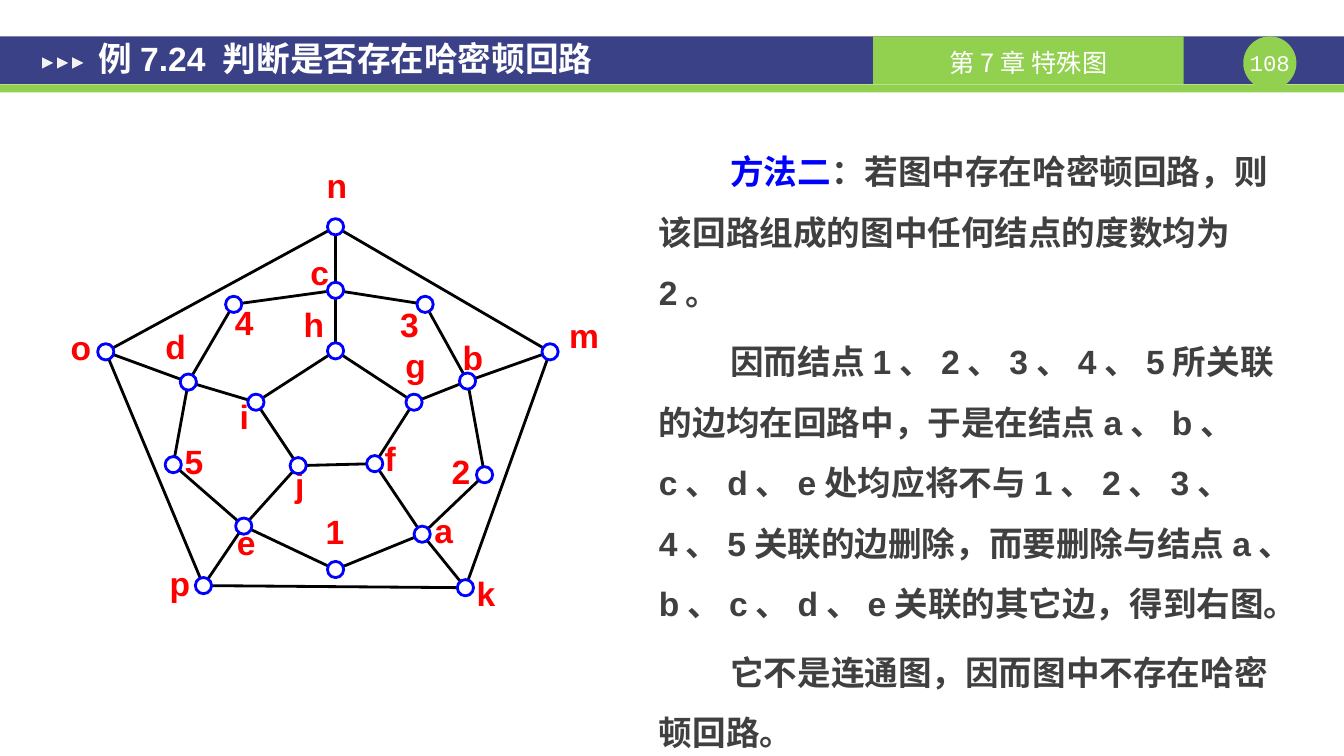
import pptx
import pptx.dml.color
import pptx.enum.shapes
import pptx.enum.text
import pptx.oxml.ns
import pptx.util
from lxml import etree

Pt = pptx.util.Pt
Kind = pptx.enum.shapes.MSO_SHAPE
Align = pptx.enum.text.PP_ALIGN
Anchor = pptx.enum.text.MSO_ANCHOR
qn = pptx.oxml.ns.qn


class Theme:
    navy, green, pale = "3A4187", "92D050", "F2F2F2"
    white, black, dark = "FFFFFF", "000000", "404040"
    red, blue = "FF0000", "0000FF"
    main, small, page = 24, 18, 16
    latin, han, mono = "Arial", "Noto Sans CJK SC", "Courier New"


def write(para, text, size=Theme.main, color=Theme.dark, font=Theme.latin,
          bold=True, align=None):
    """Add one formatted run, with a Chinese font for the Han letters."""
    run = para.add_run()
    run.text = text
    run.font.size, run.font.bold, run.font.name = Pt(size), bold, font
    run.font.color.rgb = pptx.dml.color.RGBColor.from_string(color)
    latin = run._r.rPr.find(qn("a:latin"))
    east = etree.Element(qn("a:ea"), typeface=Theme.han)
    latin.addnext(east)
    if align is not None:
        para.alignment = align


def draw(kind, box, fill, line=None):
    shape = slide.shapes.add_shape(kind, *map(Pt, box))
    shape.shadow.inherit = False
    shape.fill.solid()
    shape.fill.fore_color.rgb = pptx.dml.color.RGBColor.from_string(fill)
    if line:
        shape.line.color.rgb = pptx.dml.color.RGBColor.from_string(line)
        shape.line.width = Pt(2)
    else:
        shape.line.fill.background()
    return shape


deck = pptx.Presentation()
deck.slide_width, deck.slide_height = Pt(960.5), Pt(540)
slide = deck.slides.add_slide(deck.slide_layouts[5])

# Header band
draw(Kind.RECTANGLE, (0, 26, 960.5, 34), Theme.navy)
draw(Kind.RECTANGLE, (0, 60.2, 960.5, 5.8), Theme.green)
badge = draw(Kind.OVAL, (888.5, 26, 38, 38), Theme.green).text_frame
badge.margin_left = badge.margin_right = 0
badge.word_wrap = False
write(badge.paragraphs[0], "108", size=Theme.page, color=Theme.white,
      font=Theme.mono, bold=False, align=Align.CENTER)
chapter = draw(Kind.RECTANGLE, (624, 26, 222, 34), Theme.green).text_frame
chapter.margin_top, chapter.margin_bottom = Pt(3), 0
write(chapter.paragraphs[0], "第7章 特殊图", size=Theme.small,
      color=Theme.white, font=Theme.han, bold=False, align=Align.CENTER)
for step in range(3):
    arrow = draw(Kind.ISOSCELES_TRIANGLE, (30 + 10.8 * step, 41, 8, 8), Theme.pale)
    arrow.rotation = 90

# Title, brought in front of the band
title = slide.shapes.title
slide.shapes._spTree.append(title._element)
title.left, title.top, title.width, title.height = map(Pt, (61, 21.6, 559.5, 34))
head = title.text_frame
head.auto_size = pptx.enum.text.MSO_AUTO_SIZE.NONE
head.vertical_anchor = Anchor.MIDDLE
head.margin_left = head.margin_right = Pt(9.4)
head.margin_top = head.margin_bottom = Pt(5)
line = head.paragraphs[0]
line.line_spacing, line.space_before = 1.2, Pt(14)
write(line, "例7.24 判断是否存在哈密顿回路", color=Theme.white,
      align=Align.JUSTIFY)

# Explanation
body = slide.shapes.add_textbox(*map(Pt, (461.5, 88.6, 474.5, 415.4))).text_frame
body.word_wrap = True
body.margin_left = body.margin_right = Pt(9.4)
body.margin_top = body.margin_bottom = Pt(5)
proof = [
    ("方法二", "：若图中存在哈密顿回路，则该回路组成的图中任何结点的度数均为2。"),
    ("", "因而结点1、2、3、4、5所关联的边均在回路中，于是在结点a、b、c、d、e处均应将"
         "不与1、2、3、4、5关联的边删除，而要删除与结点a、b、c、d、e关联的其它边，"
         "得到右图。"),
    ("", "它不是连通图，因而图中不存在哈密顿回路。"),
]
for index, (lead, text) in enumerate(proof):
    para = body.add_paragraph() if index else body.paragraphs[0]
    para.line_spacing, para.space_before = 1.5, Pt(6)
    para._p.get_or_add_pPr().set("indent", str(Pt(51)))
    if lead:
        write(para, lead, color=Theme.blue)
    write(para, text)

# Graph: centre of each node, then left and top of its label
nodes = {
    "n": (239.8, 162, 231.1, 118.1), "c": (239.8, 207.4, 218.9, 180),
    "h": (239.8, 250.6, 214.6, 217.4), "4": (167, 217.4, 164.9, 215.3),
    "3": (303.8, 217.4, 283, 216.7), "o": (75.6, 251.3, 48.2, 233.3),
    "m": (393.1, 251.3, 406.8, 224.6), "d": (134.6, 272.9, 115.9, 232.6),
    "b": (334.1, 272.2, 328.3, 240.5), "i": (182.9, 287.3, 164.9, 283),
    "g": (295.9, 287.3, 287.3, 246.2), "5": (123.8, 331.9, 128.9, 314.6),
    "2": (346.3, 339.1, 319.7, 321.8), "j": (213.1, 332.6, 204.5, 331.2),
    "f": (267.8, 331.2, 269.3, 312.5), "e": (174.2, 375.8, 166.3, 373),
    "a": (301.7, 381.6, 307.4, 364.3), "1": (239.8, 406.8, 229.7, 365),
    "p": (145.4, 418.3, 118.8, 401.8), "k": (332.6, 419.8, 337.7, 409),
}
edges = ("no nm op mk pk nc ch c4 c3 4d 3b od di d5 mb bg b2 5e 2a "
         "e1 1a ej ep af ak hi hg ij gf jf")
for start, end in edges.split():
    ends = nodes[start][:2] + nodes[end][:2]
    edge = slide.shapes.add_connector(
        pptx.enum.shapes.MSO_CONNECTOR.STRAIGHT, *map(Pt, ends))
    edge.line.color.rgb = pptx.dml.color.RGBColor.from_string(Theme.black)
    edge.line.width = Pt(2)
    etree.SubElement(edge._element.spPr, qn("a:effectLst"))

for name, (x, y, left, top) in nodes.items():
    label = slide.shapes.add_textbox(*map(Pt, (left, top, 19.4, 29))).text_frame
    label.word_wrap = True
    label.margin_left = label.margin_right = 0
    label.margin_top = label.margin_bottom = 0
    write(label.paragraphs[0], name, color=Theme.red, align=Align.CENTER)

for x, y, left, top in nodes.values():
    draw(Kind.OVAL, (x - 5.8, y - 5.8, 11.6, 11.6), Theme.white, Theme.blue)

deck.save("out.pptx")
